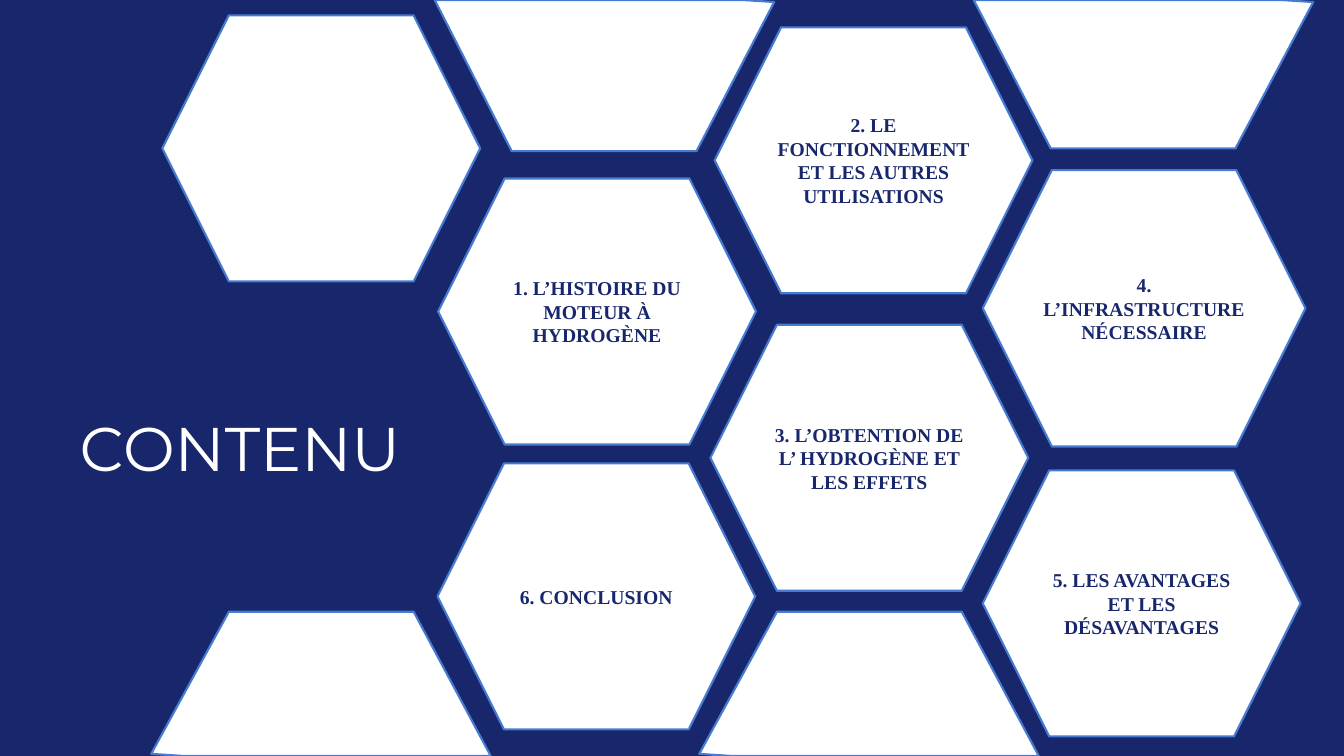
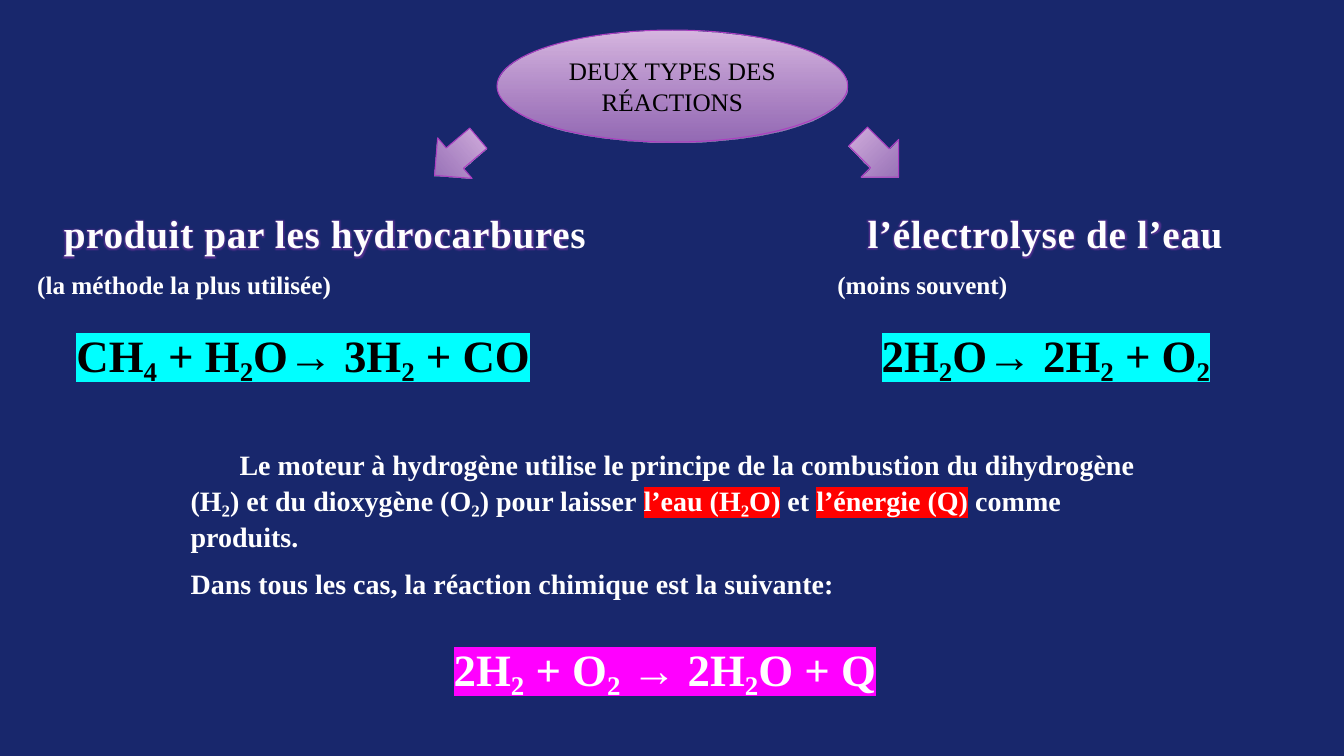
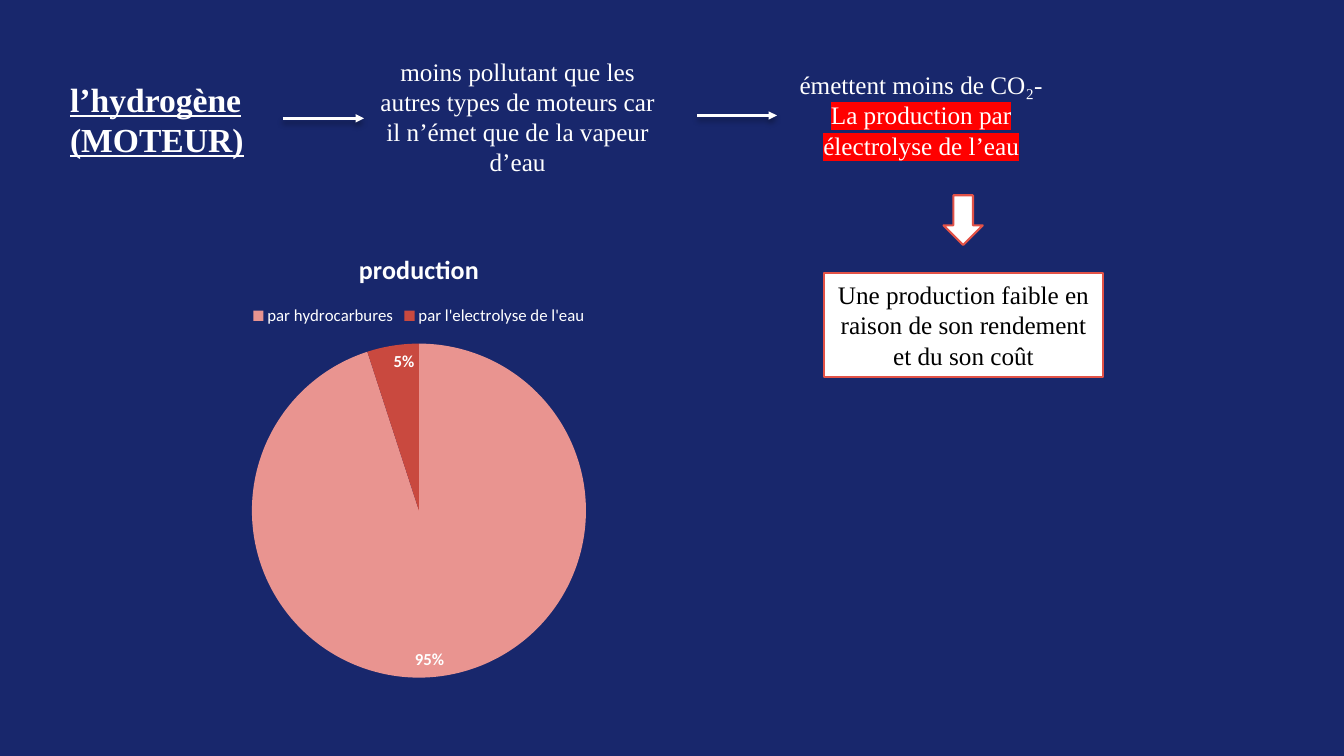
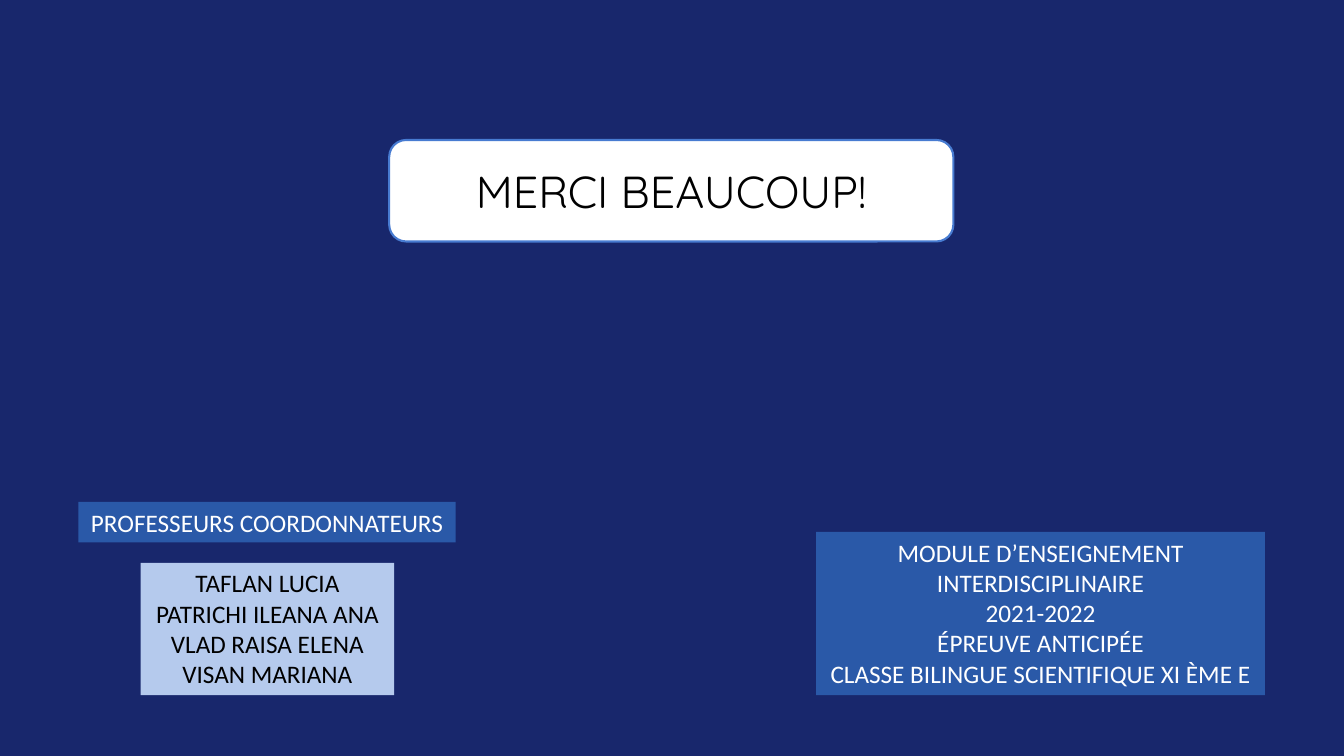
from lxml import etree
from pptx import Presentation
from pptx import util as u
from pptx.chart import data as chart_data
from pptx.dml.color import RGBColor
from pptx.enum import chart as charts, shapes, text
from pptx.oxml.ns import qn

# Shared colours, fonts and formats
rgb = RGBColor.from_string
NAVY, WHITE, BLACK = "18276C", "FFFFFF", "000000"
EDGE, BLUE, PALE_BLUE = "477BD1", "2A59A8", "B5CAED"
PURPLE, CORAL, RED = "AC3EC1", "E25247", "FF0000"
CYAN, MAGENTA = "00FFFF", "FF00FF"
SERIF, SANS = "Times New Roman", "Calibri"
SHAPE = shapes.MSO_SHAPE
TOP = {"vertical_anchor": text.MSO_ANCHOR.TOP}
LEFT = {"alignment": text.PP_ALIGN.LEFT}
LOOSE = {"line_spacing": 1.07, "space_after": u.Pt(8)}


def dress(shape, fill, line=None, weight=1.5):
    """Fill is one colour, or a pair for a gradient that fades at its end."""
    shape.shadow.inherit = False
    if isinstance(fill, str):
        shape.fill.solid()
        shape.fill.fore_color.rgb = rgb(fill)
    else:
        shape.fill.gradient()
        shape.fill.gradient_angle = 270
        for stop, color, position in zip(shape.fill.gradient_stops, fill, (0, 1)):
            stop.color.rgb = rgb(color)
            stop.position = position
        last = list(shape._element.spPr.iter(qn("a:srgbClr")))[-1]
        etree.SubElement(last, qn("a:alpha"), val="74000")
    if line:
        shape.line.color.rgb = rgb(line)
        shape.line.width = u.Pt(weight)
    else:
        shape.line.fill.background()


def write(shape, paragraphs, color, frame={}, layout={}, **font):
    """A paragraph is a string, or a list of (text, highlight) runs."""
    for name, value in ({"word_wrap": True} | frame).items():
        setattr(shape.text_frame, name, value)
    for number, pieces in enumerate(paragraphs):
        paragraph = shape.text_frame.add_paragraph() if number else shape.text_frame.paragraphs[0]
        for name, value in ({"alignment": text.PP_ALIGN.CENTER} | layout).items():
            setattr(paragraph, name, value)
        for words, highlight in [(pieces, None)] if isinstance(pieces, str) else pieces:
            if words == "\v":
                paragraph.add_line_break()
                continue
            run = paragraph.add_run()
            run.text = words
            run.font.color.rgb = rgb(color)
            for name, value in ({"name": SERIF} | font).items():
                setattr(run.font, name, value)
            if highlight:
                mark = etree.Element(qn("a:highlight"))
                etree.SubElement(mark, qn("a:srgbClr"), val=highlight)
                run._r.rPr.find(qn("a:solidFill")).addnext(mark)


presentation = Presentation()
presentation.slide_width, presentation.slide_height = u.Pt(960), u.Pt(540)
background = presentation.slide_master.background.fill
background.solid()
background.fore_color.rgb = rgb(NAVY)
title_only, blank = presentation.slide_layouts[5], presentation.slide_layouts[6]

# Slide 1: contents in a honeycomb
slide = presentation.slides.add_slide(title_only)
title = slide.shapes.title
title.left, title.top, title.width, title.height = map(u.Pt, (0, 289, 343, 60.5))
write(title, ["CONTENU"], WHITE, TOP | {"auto_size": text.MSO_AUTO_SIZE.NONE},
      name="Montserrat", size=u.Pt(44))

for left, top, width, height, label in [
    (313, 127.5, 227, 190, "1. L’HISTOIRE DU MOTEUR À HYDROGÈNE"),
    (510.5, 19.5, 227, 190, "2. LE FONCTIONNEMENT ET LES AUTRES UTILISATIONS"),
    (507.5, 232, 227, 190, "3. L’OBTENTION DE L’ HYDROGÈNE ET LES EFFETS"),
    (702, 121.5, 230.5, 197.5, "4. L’INFRASTRUCTURE NÉCESSAIRE"),
    (702, 336, 227, 190, "5. LES AVANTAGES ET LES DÉSAVANTAGES"),
    (312.5, 331, 227, 190, "6. CONCLUSION"),
    (116, 11, 227, 190, None),
]:
    hexagon = slide.shapes.add_shape(SHAPE.HEXAGON, *map(u.Pt, (left, top, width, height)))
    dress(hexagon, WHITE, EDGE)
    if label:
        write(hexagon, [label], NAVY, size=u.Pt(14), bold=True)

# Cells cut by the slide edge; the bottom ones are turned half round
for left, height, at_bottom in [(695.5, 106, False), (310.5, 108, False),
                                (499.5, 103, True), (108, 103, True)]:
    outline = [(0, 0), (219.5, 0), (242.5, 1.5), (187, height), (55, height)]
    if at_bottom:
        outline = [(242.5 - x, 540 - y) for x, y in outline]
    points = [(u.Pt(left + x), u.Pt(y)) for x, y in outline]
    builder = slide.shapes.build_freeform(*points[0], scale=1.0)
    builder.add_line_segments(points[1:], close=True)
    dress(builder.convert_to_shape(), WHITE, EDGE)

# Slide 2: the two reactions
slide = presentation.slides.add_slide(blank)
for kind, left, top, width, height, rotation in [
    (SHAPE.OVAL, 355, 21.5, 250.5, 80, 0),
    (SHAPE.DOWN_ARROW, 307, 91.5, 38, 41, 49.7),
    (SHAPE.DOWN_ARROW, 608.5, 91.5, 38, 41, 315),
]:
    shape = slide.shapes.add_shape(kind, *map(u.Pt, (left, top, width, height)))
    shape.rotation = rotation
    dress(shape, ("D8B7E1", "BF82CE"), PURPLE, 0.75)
    if kind == SHAPE.OVAL:
        write(shape, ["DEUX TYPES DES RÉACTIONS"], BLACK, size=u.Pt(18))

# Headings with an outline and a glow
for left, width, wrap, heading in [(19.5, 425.5, True, "produit par les hydrocarbures"),
                                   (611, 271.5, False, "l’électrolyse de l’eau")]:
    box = slide.shapes.add_textbox(*map(u.Pt, (left, 146, width, 41)))
    write(box, [heading], "FEFEFE", {"word_wrap": wrap}, size=u.Pt(28), bold=True)
    properties = box.text_frame.paragraphs[0].runs[0]._r.rPr
    properties.set("spc", "50")
    line = etree.Element(qn("a:ln"), w="9525")
    line_fill = etree.SubElement(line, qn("a:solidFill"))
    etree.SubElement(line_fill, qn("a:srgbClr"), val=PURPLE)
    effects = etree.Element(qn("a:effectLst"))
    glow = etree.SubElement(effects, qn("a:glow"), rad="38100")
    glow_color = etree.SubElement(glow, qn("a:srgbClr"), val=PURPLE)
    etree.SubElement(glow_color, qn("a:alpha"), val="40000")
    properties.find(qn("a:solidFill")).addnext(effects)
    properties.insert(0, line)

# Notes, formulas and explanation
explanation = [
    [("Le moteur à hydrogène utilise le principe de la combustion du dihydrogène (H₂) "
      "et du dioxygène (O₂) pour laisser ", None),
     ("l’eau (H₂O)", RED), (" et ", None), ("l’énergie (Q)", RED), (" comme produits.", None)],
    "Dans tous les cas, la réaction chimique est la suivante:",
]
for left, top, width, height, paragraphs, color, layout, size in [
    (19.5, 188.5, 235, 29, ["(la méthode la plus utilisée)"], WHITE, LEFT, 18),
    (591, 188.5, 145.5, 29, ["(moins souvent)"], WHITE, LEFT, 18),
    (27.5, 228, 378.5, 46, [[("CH₄ + H₂O→ 3H₂ + CO", CYAN)]], BLACK, LOOSE, 32),
    (603.5, 228, 287.5, 46, [[("2H₂O→ 2H₂ + O₂", CYAN)]], BLACK, LOOSE, 32),
    (129, 314.5, 702, 117.5, explanation, WHITE, LEFT | LOOSE, 20),
    (317, 455, 327, 46, [[("2H₂ + O₂ → 2H₂O + Q", MAGENTA)]], WHITE, LEFT, 32),
]:
    box = slide.shapes.add_textbox(*map(u.Pt, (left, top, width, height)))
    write(box, paragraphs, color, layout=layout, size=u.Pt(size), bold=True)
    if paragraphs is explanation:
        first = box.text_frame.paragraphs[0]._p.get_or_add_pPr()
        first.set("marL", "0")
        first.set("indent", str(u.Pt(35)))

# Slide 3: the engine and how hydrogen is produced
slide = presentation.slides.add_slide(blank)
engine = slide.shapes.add_textbox(*map(u.Pt, (43, 52.5, 143.5, 65.5)))
write(engine, [[("l’hydrogène", None), ("\v", None), ("(MOTEUR)", None)]], WHITE,
      layout=LEFT, size=u.Pt(24), bold=True, underline=True)

for left, top, width, height, start, pieces in [
    (260, 36.5, 219.5, 96, 202,
     "moins pollutant que les autres types de moteurs car il n’émet que de la vapeur d’eau"),
    (555, 46, 206, 73, 498,
     [("émettent moins de CO₂-", None), ("\v", None),
      ("La production par électrolyse de l’eau", RED)]),
]:
    box = slide.shapes.add_textbox(*map(u.Pt, (left, top, width, height)))
    write(box, [pieces], WHITE, size=u.Pt(18))
    middle = top + height / 2
    arrow = slide.shapes.add_connector(shapes.MSO_CONNECTOR.STRAIGHT,
                                       *map(u.Pt, (start, middle, left, middle)))
    arrow.end_connect(box, 1)
    arrow.line.color.rgb = rgb(WHITE)
    arrow.line.width = u.Pt(2)
    etree.SubElement(arrow.line._get_or_add_ln(), qn("a:tailEnd"), type="triangle")
    effects = etree.SubElement(arrow._element.spPr, qn("a:effectLst"))
    shadow = etree.SubElement(effects, qn("a:outerShdw"), blurRad=str(u.Pt(4)),
                              dist=str(u.Pt(3)), dir="5400000")
    shadow_color = etree.SubElement(shadow, qn("a:srgbClr"), val=BLACK)
    etree.SubElement(shadow_color, qn("a:alpha"), val="35000")

down_arrow = slide.shapes.add_shape(SHAPE.DOWN_ARROW, *map(u.Pt, (674, 139.5, 28, 35.5)))
dress(down_arrow, WHITE, CORAL)
outcome = slide.shapes.add_shape(SHAPE.RECTANGLE, *map(u.Pt, (588.5, 195, 199.5, 74)))
dress(outcome, WHITE, CORAL)
write(outcome, ["Une production faible en raison de son rendement et du son coût"],
      BLACK, size=u.Pt(18))

# Pie chart
shares = chart_data.CategoryChartData(number_format="General")
shares.categories = ["par hydrocarbures", "par l'electrolyse de l'eau"]
shares.add_series("production", (95, 5))
chart = slide.shapes.add_chart(charts.XL_CHART_TYPE.PIE,
                               *map(u.Pt, (54, 165.5, 490.5, 328.5)), shares).chart
chart.has_title = chart.has_legend = True
chart.chart_title.text_frame.text = "production"
chart.legend.position = charts.XL_LEGEND_POSITION.TOP
chart.legend.include_in_layout = False
plot = chart.plots[0]
plot.vary_by_categories = True
for number, color in enumerate(("E99490", "C9493F")):
    fill = plot.series[0].points[number].format.fill
    fill.solid()
    fill.fore_color.rgb = rgb(color)
labels = plot.series[0].data_labels
for name, value in {"show_percentage": True, "show_value": False, "number_format": "0%",
                    "number_format_is_linked": False,
                    "position": charts.XL_LABEL_POSITION.INSIDE_END}.items():
    setattr(labels, name, value)
title_font = chart.chart_title.text_frame.paragraphs[0].runs[0].font
for font, size, bold in [(chart.font, 10, False), (title_font, 18.6, True),
                         (chart.legend.font, 12, False), (labels.font, 12, True)]:
    for name, value in {"name": SANS, "size": u.Pt(size), "bold": bold}.items():
        setattr(font, name, value)
    font.color.rgb = rgb(WHITE)

# Slide 4: thanks and credits
slide = presentation.slides.add_slide(blank)
thanks = slide.shapes.add_shape(SHAPE.ROUNDED_RECTANGLE, *map(u.Pt, (278, 100, 403, 72.5)))
dress(thanks, WHITE, EDGE)
write(thanks, ["MERCI BEAUCOUP!"], BLACK, name="Quicksand", size=u.Pt(32))

for left, top, width, height, fill, color, paragraphs in [
    (56, 358.5, 269.5, 29, BLUE, WHITE, ["PROFESSEURS COORDONNATEURS"]),
    (100.5, 402, 181, 94.5, PALE_BLUE, BLACK,
     ["TAFLAN LUCIA", "PATRICHI ILEANA ANA", "VLAD RAISA ELENA", "VISAN MARIANA"]),
    (583, 380, 320.5, 116.5, BLUE, WHITE,
     ["MODULE D’ENSEIGNEMENT INTERDISCIPLINAIRE", "2021-2022", "ÉPREUVE ANTICIPÉE",
      "CLASSE BILINGUE SCIENTIFIQUE XI ÈME E"]),
]:
    panel = slide.shapes.add_shape(SHAPE.RECTANGLE, *map(u.Pt, (left, top, width, height)))
    dress(panel, fill)
    write(panel, paragraphs, color, TOP, name=SANS, size=u.Pt(18))

presentation.save("out.pptx")
